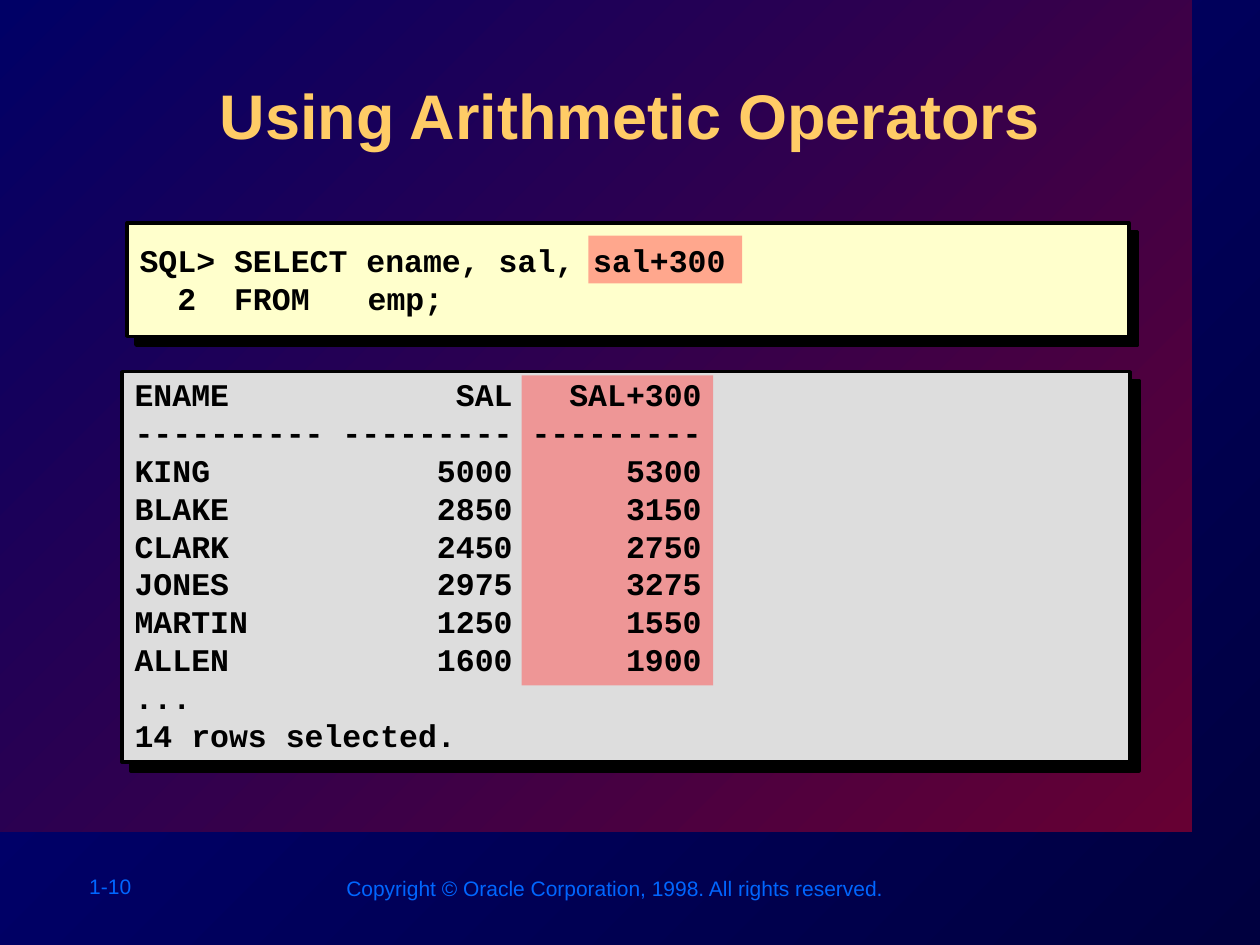
"""Build the slide on arithmetic operators in SQL queries."""
from lxml import etree
from pptx import Presentation
from pptx.dml.color import RGBColor
from pptx.enum.shapes import MSO_SHAPE
from pptx.enum.text import MSO_ANCHOR, PP_ALIGN
from pptx.oxml.ns import qn
from pptx.util import Inches, Pt

RECTANGLE = MSO_SHAPE.RECTANGLE
TOP, MIDDLE = MSO_ANCHOR.TOP, MSO_ANCHOR.MIDDLE
LEFT, CENTER = PP_ALIGN.LEFT, PP_ALIGN.CENTER
COLORS = {
    "night": "00003F", "navy": "000080", "wine": "660033", "indigo": "000066",
    "footer": "0066FF", "title": "FFCC66", "query": "FFFFCC", "result": "DDDDDD",
    "highlight": "FF5050", "black": "000000",
}


def add_box(left, top, width, height):
    box = slide.shapes.add_shape(
        RECTANGLE, Inches(left), Inches(top), Inches(width), Inches(height))
    box.shadow.inherit = False
    box.line.fill.background()
    return box


def add_text(at, lines, size, font, color, bold=False, align=LEFT, anchor=TOP, wrap=True):
    frame = slide.shapes.add_textbox(*[Inches(length) for length in at]).text_frame
    frame.word_wrap = wrap
    frame.vertical_anchor = anchor
    for index, line in enumerate(lines):
        paragraph = frame.paragraphs[0] if index == 0 else frame.add_paragraph()
        paragraph.alignment = align
        run = paragraph.add_run()
        run.text = line
        run.font.size = Pt(size)
        run.font.name = font
        run.font.bold = bold
        run.font.color.rgb = RGBColor.from_string(COLORS[color])
    return frame


prs = Presentation()
prs.slide_width, prs.slide_height = Inches(10), Inches(7.5)
slide = prs.slides.add_slide(prs.slide_layouts[6])

panel = add_box(0, 0, 9.46, 6.6)
for fill, shades in ((slide.background.fill, ("night", "navy")),
                     (panel.fill, ("wine", "indigo"))):
    fill.gradient()
    fill.gradient_angle = 135
    for stop, shade in zip(fill.gradient_stops, shades):
        stop.color.rgb = RGBColor.from_string(COLORS[shade])

add_text((0.61, 6.88, 1.11, 0.3), ["1-10"], 12, "Arial", "footer", wrap=False)
add_text((2.65, 6.9, 4.48, 0.3),
         ["Copyright © Oracle Corporation, 1998. All rights reserved."],
         12, "Arial", "footer", wrap=False)

title = add_text((1.01, 0.56, 7.98, 0.96), ["Using Arithmetic Operators"],
                 36, "Arial", "title", bold=True, align=CENTER)
title_fill = title.paragraphs[0].runs[0]._r.rPr.find(qn("a:solidFill"))
title_effects = etree.Element(qn("a:effectLst"))
title_fill.addnext(title_effects)

effects = [title_effects]
for at, color in (((1.01, 1.77, 7.95, 0.9), "query"),
                  ((0.97, 2.95, 8, 3.1), "result")):
    block = add_box(*at)
    block.fill.solid()
    block.fill.fore_color.rgb = RGBColor.from_string(COLORS[color])
    block.line.color.rgb = RGBColor.from_string(COLORS["black"])
    block.line.width = Pt(2)
    effects.append(block._element.spPr.find(qn("a:effectLst")))

for effect in effects:
    shadow = etree.SubElement(effect, qn("a:outerShdw"), dist=str(Pt(7.1)),
                              dir="2700000", algn="ctr", rotWithShape="0")
    etree.SubElement(shadow, qn("a:srgbClr"), val=COLORS["black"])

for at in ((4.67, 1.87, 1.22, 0.38), (4.14, 2.98, 1.52, 2.46)):
    highlight = add_box(*at)
    highlight.fill.solid()
    highlight.fill.fore_color.rgb = RGBColor.from_string(COLORS["highlight"])
    tint = highlight._element.spPr.find(qn("a:solidFill"))[0]
    etree.SubElement(tint, qn("a:alpha"), val="50000")

query = add_text((1.01, 1.75, 7.97, 0.93),
                 ["SQL> SELECT ename, sal, sal+300", "  2  FROM\temp;"],
                 18, "Courier New", "black", bold=True, anchor=MIDDLE, wrap=False)
tabs = etree.SubElement(query.paragraphs[1]._p.get_or_add_pPr(), qn("a:tabLst"))
for position in (1.31, 1.81):
    etree.SubElement(tabs, qn("a:tab"), pos=str(Inches(position)), algn="l")

rows = [
    ("ENAME", "SAL", "SAL+300"),
    ("-" * 10, "-" * 9, "-" * 9),
    ("KING", 5000, 5300),
    ("BLAKE", 2850, 3150),
    ("CLARK", 2450, 2750),
    ("JONES", 2975, 3275),
    ("MARTIN", 1250, 1550),
    ("ALLEN", 1600, 1900),
]
listing = [f"{name:<10}{salary:>10}{raised:>10}" for name, salary, raised in rows]
add_text((0.97, 2.93, 8.03, 3.1), listing + ["...", "14 rows selected."],
         18, "Courier New", "black", bold=True)

prs.save("out.pptx")
